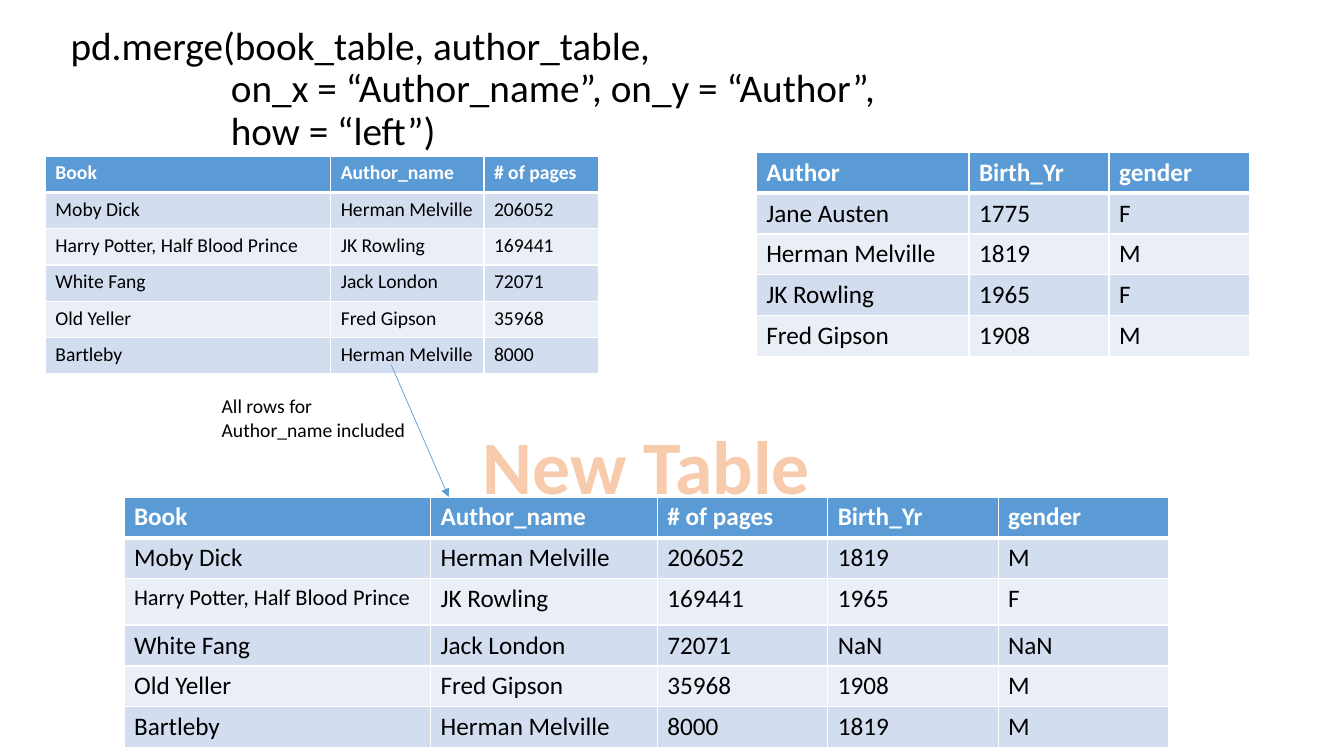
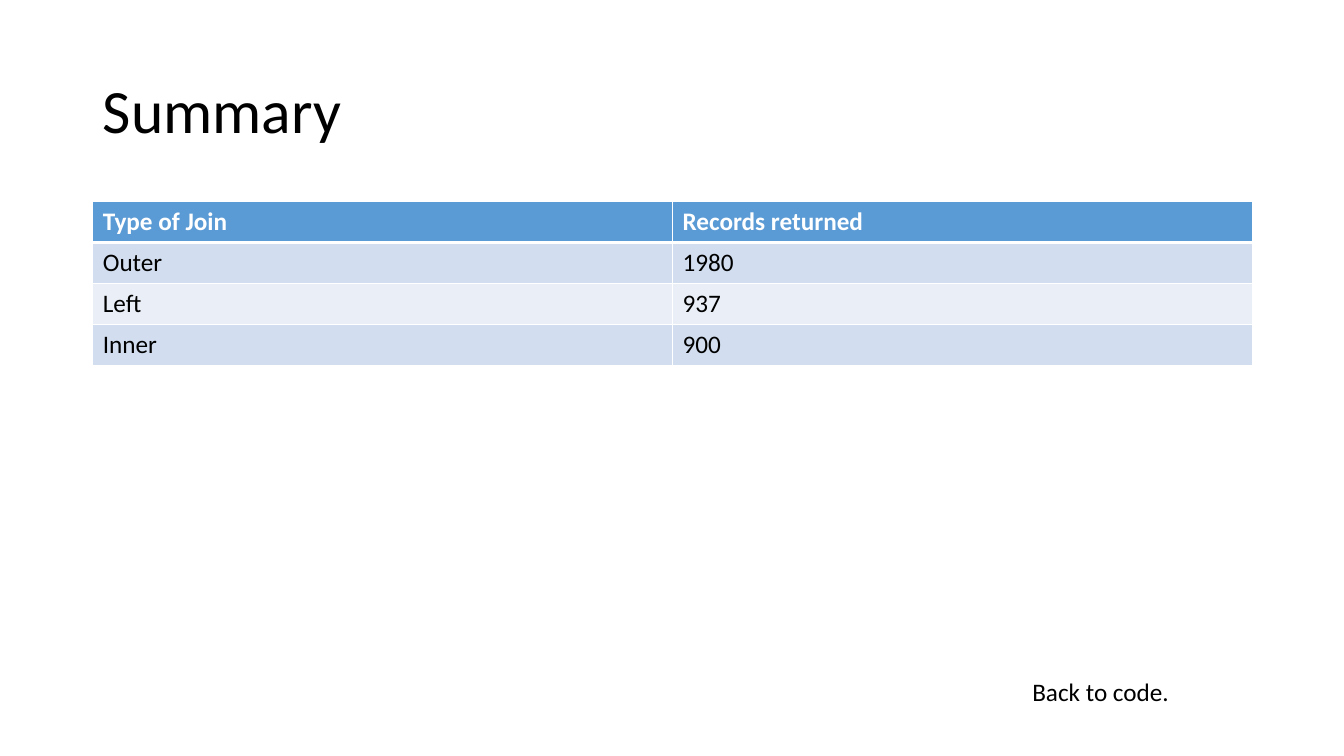
"""Build the left-merge example slide and the join summary slide."""
from dataclasses import dataclass

from lxml import etree
from pptx import Presentation, util as u
from pptx.dml.color import RGBColor
from pptx.enum import shapes, text
from pptx.oxml.ns import qn


@dataclass(frozen=True)
class Theme:
    font: str = "Calibri"
    ink: str = "000000"
    white: str = "FFFFFF"
    accent: str = "5B9BD5"
    bands: tuple = ("D2DEEF", "EAEFF7")
    peach: str = "F8CBAD"
    orange: str = "ED7D31"
    heading: int = 44
    code: int = 28
    banner: int = 54
    body: int = 18
    compact: int = 16
    small: int = 14


T = Theme()
PX = 9144


def add_run(p, words, size, color=T.ink, bold=False):
    r = p.add_run()
    r.text = words
    r.font.name = T.font
    r.font.size = u.Pt(size)
    r.font.bold = bold
    r.font.color.rgb = RGBColor.from_string(color)
    return r


def add_grid(s, left, top, widths, heights, rows, size=T.body, sizes={}):
    frame = s.shapes.add_table(len(rows), len(widths), left * PX, top * PX,
                               sum(widths) * PX, sum(heights) * PX)
    table = frame.table
    for col, width in zip(table.columns, widths):
        col.width = width * PX
    for i, (row, height, values) in enumerate(zip(table.rows, heights, rows)):
        row.height = height * PX
        head = i == 0
        edges = {"lnL": 1, "lnR": 1, "lnT": 3 if i == 1 else 1, "lnB": 3 if head else 1}
        for cell, value in zip(row.cells, values):
            tcPr = cell._tc.get_or_add_tcPr()
            for edge, points in edges.items():
                ln = etree.SubElement(tcPr, qn(f"a:{edge}"), w=str(u.Pt(points)))
                fill = etree.SubElement(ln, qn("a:solidFill"))
                etree.SubElement(fill, qn("a:srgbClr"), val=T.white)
            cell.fill.solid()
            cell.fill.fore_color.rgb = RGBColor.from_string(T.accent if head else T.bands[(i - 1) % 2])
            add_run(cell.text_frame.paragraphs[0], value, sizes.get(value, size),
                    T.white if head else T.ink, head)


prs = Presentation()
prs.slide_width, prs.slide_height = 1333 * PX, 750 * PX

titles = [
    ((60, 17, 1213, 145), T.code, [
        ("pd.merge(book_table, author_table,", 0),
        ("on_x = “Author_name”, on_y = “Author”,", 159),
        ("how = “left”)", 159),
    ]),
    ((92, 40, 1150, 145), T.heading, [("Summary", 0)]),
]
slides = []
for box, size, lines in titles:
    s = prs.slides.add_slide(prs.slide_layouts[5])
    sp = s.shapes.title
    sp.left, sp.top, sp.width, sp.height = (n * PX for n in box)
    tf = sp.text_frame
    tf.auto_size = text.MSO_AUTO_SIZE.NONE
    tf.vertical_anchor = text.MSO_ANCHOR.MIDDLE
    for i, (words, indent) in enumerate(lines):
        p = tf.add_paragraph() if i else tf.paragraphs[0]
        p.alignment = text.PP_ALIGN.LEFT
        p.line_spacing = 0.9
        p._p.get_or_add_pPr().set("marL", str(indent * PX))
        add_run(p, words, size)
    slides.append(s)
merge, summary = slides

books = [
    ("Book", "Author_name", "# of pages"),
    ("Moby Dick", "Herman Melville", "206052"),
    ("Harry Potter, Half Blood Prince", "JK Rowling", "169441"),
    ("White Fang", "Jack London", "72071"),
    ("Old Yeller", "Fred Gipson", "35968"),
    ("Bartleby", "Herman Melville", "8000"),
]
authors = [
    ("Author", "Birth_Yr", "gender"),
    ("Jane Austen", "1775", "F"),
    ("Herman Melville", "1819", "M"),
    ("JK Rowling", "1965", "F"),
    ("Fred Gipson", "1908", "M"),
]
details = {name: rest for name, *rest in authors}
details["Author_name"] = details["Author"]
merged = [(*book, *details.get(book[1], ("NaN", "NaN"))) for book in books]
joins = [("Type of Join", "Records returned"), ("Outer", "1980"), ("Left", "937"), ("Inner", "900")]

add_grid(merge, 45, 155, [283, 152, 114], [36] * 6, books, T.small)
add_grid(merge, 750, 151, [211, 139, 139], [40] * 5, authors)
add_grid(merge, 123, 493, [304, 225, 169, 169, 169], [40, 40, 46, 40, 40, 40], merged,
         sizes={books[2][0]: T.compact})
add_grid(summary, 92, 200, [575, 575], [40] * 4, joins)

labels = [
    (merge, (467, 411, 348, 101), "New Table", T.banner, T.peach),
    (merge, (210, 386, 209, 57), "All rows for Author_name included", T.small, T.ink),
    (summary, (1014, 666, 260, 40), "Back to code.", T.body, T.ink),
]
for s, box, words, size, color in labels:
    banner = size == T.banner
    tf = s.shapes.add_textbox(*(n * PX for n in box)).text_frame
    tf.word_wrap = not banner
    p = tf.paragraphs[0]
    p.alignment = text.PP_ALIGN.CENTER if banner else text.PP_ALIGN.LEFT
    r = add_run(p, words, size, color, banner)
    if banner:
        ln = etree.Element(qn("a:ln"), w=str(u.Pt(1.75)))
        fill = etree.SubElement(ln, qn("a:solidFill"))
        etree.SubElement(fill, qn("a:srgbClr"), val=T.orange)
        r._r.get_or_add_rPr().insert(0, ln)

arrow = merge.shapes.add_connector(shapes.MSO_CONNECTOR.STRAIGHT, 388 * PX, 362 * PX, 445 * PX, 493 * PX)
arrow.line.color.rgb = RGBColor.from_string(T.accent)
arrow.line.width = u.Pt(0.5)
etree.SubElement(arrow.line._get_or_add_ln(), qn("a:tailEnd"), type="triangle")
etree.SubElement(arrow._element.spPr, qn("a:effectLst"))

prs.save("out.pptx")
